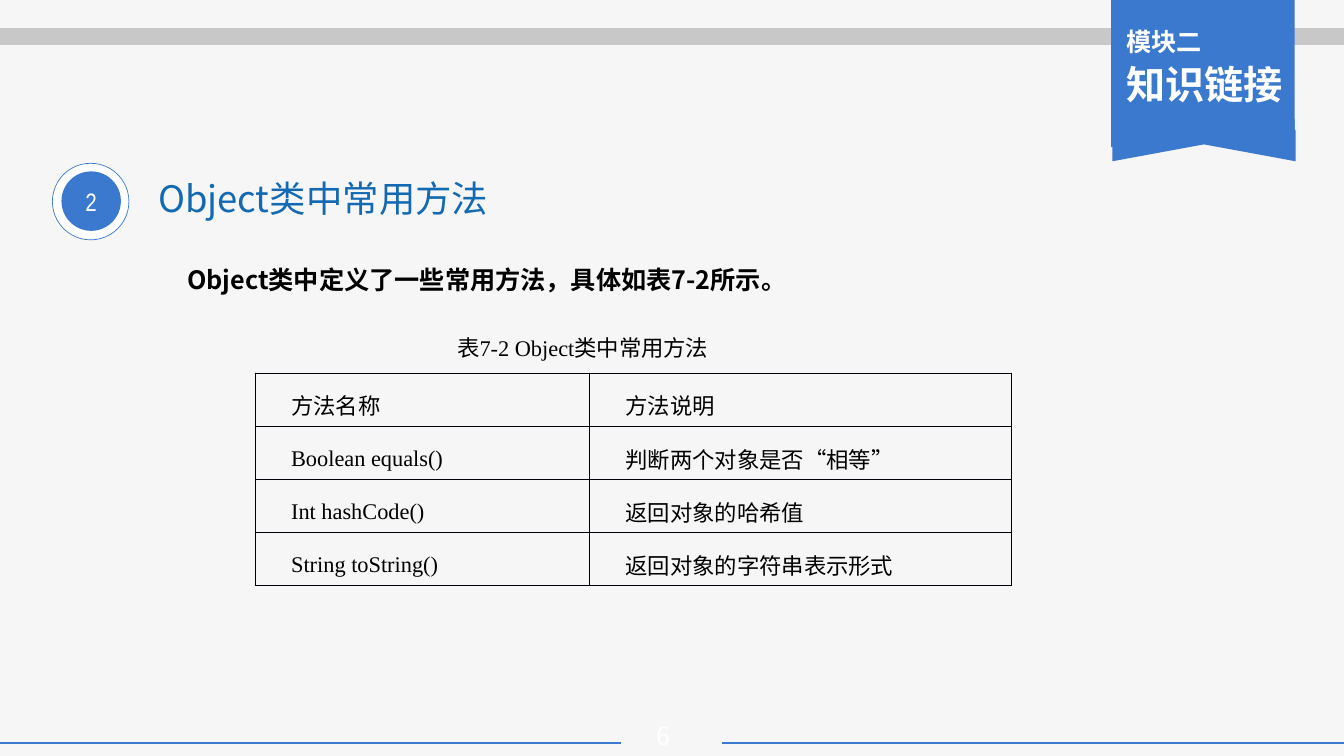
from itertools import groupby

from pptx import Presentation
from pptx import util as u
from pptx.dml.color import RGBColor
from pptx.enum import shapes, text
from pptx.oxml import parse_xml
from pptx.oxml.ns import nsdecls, qn

BLUE = RGBColor(0x3B, 0x79, 0xCE)
DEEP = RGBColor(0x13, 0x69, 0xB2)
GREY = RGBColor(0xC8, 0xC8, 0xC8)
PALE = RGBColor(0xF6, 0xF6, 0xF6)
WHITE = RGBColor(0xFF, 0xFF, 0xFF)
BLACK = RGBColor(0, 0, 0)
SANS, SERIF, THIN = "Noto Sans CJK SC", "Times New Roman", "Arial Narrow"
WIDE, HIGH = 13.34, 7.5
KIND = shapes.MSO_SHAPE
ALIGN = text.PP_ALIGN
EDGE = ('<a:{} {} w="6350"><a:solidFill><a:srgbClr val="000008"/>'
        '</a:solidFill></a:{}>')


class Page:
    def __init__(self, deck):
        self.slide = deck.slides.add_slide(deck.slide_layouts[5])
        self.items = self.slide.shapes
        back = self.slide.background.fill
        back.solid()
        back.fore_color.rgb = PALE

    def style(self, par, size, color, bold=False, font=SANS):
        for run in par.runs:
            face = run.font
            face.size, face.bold, face.name = u.Pt(size), bold, font
            face.color.rgb = color
            props = run._r.get_or_add_rPr()
            props.find(qn("a:latin")).addnext(
                parse_xml(f'<a:ea {nsdecls("a")} typeface="{SANS}"/>'))

    def indent(self, par):
        par.line_spacing = 1.5
        props = par._p.get_or_add_pPr()
        props.set("marL", "0")
        props.set("indent", str(u.Inches(0.29)))

    def mixed(self, par, words):
        """Latin letters and curly quotes in serif, Chinese in sans."""
        for latin, part in groupby(words, lambda c: c.isascii() or c in "“”"):
            run = par.add_run()
            run.text = "".join(part)
            run.font.name = SERIF if latin else SANS
            run.font.size = u.Pt(16)
            run.font.color.rgb = BLACK
            if not latin:
                run.font._element.append(
                    parse_xml(f'<a:ea {nsdecls("a")} typeface="{SANS}"/>'))
        par.alignment = ALIGN.JUSTIFY
        self.indent(par)

    def place(self, shape, box):
        shape.left, shape.top, shape.width, shape.height = map(u.Inches, box)

    def line(self, x1, x2, y, color, width):
        bar = self.items.add_connector(
            shapes.MSO_CONNECTOR.STRAIGHT, *map(u.Inches, (x1, y, x2, y)))
        bar.line.color.rgb, bar.line.width = color, u.Pt(width)
        bar._element.spPr.append(parse_xml(f'<a:effectLst {nsdecls("a")}/>'))

    def shape(self, kind, box, fill, edge=None, turn=0, adj=None):
        item = self.items.add_shape(kind, *map(u.Inches, box))
        item.shadow.inherit = False
        item.fill.solid()
        item.fill.fore_color.rgb = fill
        if edge:
            item.line.color.rgb, item.line.width = edge, u.Pt(0.5)
        else:
            item.line.fill.background()
        item.rotation = turn
        if adj is not None:
            item.adjustments[0] = adj
        return item

    def title(self, words, box):
        item = self.items.title
        self.place(item, box)
        frame = item.text_frame
        frame.text = words
        frame.auto_size = text.MSO_AUTO_SIZE.NONE
        frame.vertical_anchor = text.MSO_ANCHOR.TOP
        frame.paragraphs[0].alignment = ALIGN.LEFT
        self.style(frame.paragraphs[0], 26, DEEP)

    def text(self, words, box):
        frame = self.items.add_textbox(*map(u.Inches, box)).text_frame
        frame.word_wrap = True
        frame.text = words
        return frame.paragraphs

    def table(self, rows, cols, box):
        grid = self.items.add_table(
            len(rows), len(cols), *map(u.Inches, box)).table
        grid.first_row = grid.horz_banding = False
        for col, width in zip(grid.columns, cols):
            col.width = u.Inches(width)
        for r, row in enumerate(rows):
            for c, words in enumerate(row):
                cell = grid.cell(r, c)
                cell.margin_left = cell.margin_right = u.Inches(0.07)
                cell.margin_top = cell.margin_bottom = 0
                if r and not c:
                    cell.vertical_anchor = text.MSO_ANCHOR.MIDDLE
                cell.fill.background()
                self.mixed(cell.text_frame.paragraphs[0], words)
                props = cell._tc.get_or_add_tcPr()
                for n, tag in enumerate(("lnL", "lnR", "lnT", "lnB")):
                    props.insert(n, parse_xml(
                        EDGE.format(tag, nsdecls("a"), tag)))


def main():
    deck = Presentation()
    deck.slide_width, deck.slide_height = u.Inches(WIDE), u.Inches(HIGH)
    page = Page(deck)

    # Rules at top and bottom, with the page number
    page.line(7.17, WIDE, 7.37, BLUE, 1.77)
    page.line(0, 6.16, 7.37, BLUE, 1.77)
    page.line(0, WIDE, 0.36, GREY, 12)
    num, = page.text("6", (6.16, 7.1, 0.85, 0.4))
    num.alignment = ALIGN.CENTER
    page.style(num, 18, WHITE)

    # Ribbon
    for kind, box, adj in (
            (KIND.CHEVRON, (11.71, 0.45, 0.48, 1.82), 0.35),
            (KIND.CHEVRON, (11.66, 0.27, 0.56, 1.82), 0.5),
            (KIND.PENTAGON, (11.26, -0.23, 1.36, 1.82), 0)):
        page.shape(kind, box, BLUE, turn=270, adj=adj)
    unit, part = page.text("模块二\n知识链接", (11.08, 0.21, 1.78, 0.92))
    page.style(unit, 18, WHITE, True)
    page.style(part, 28, WHITE, True)
    unit.space_after = part.space_after = u.Pt(3)

    # Heading with its numbered badge
    page.title("Object类中常用方法", (1.47, 1.7, 3.53, 0.47))
    page.shape(KIND.OVAL, (0.52, 1.62, 0.76, 0.76), WHITE, BLUE)
    badge = page.shape(KIND.OVAL, (0.61, 1.7, 0.59, 0.59), BLUE)
    badge.text_frame.text = "2"
    badge.text_frame.vertical_anchor = text.MSO_ANCHOR.MIDDLE
    mark = badge.text_frame.paragraphs[0]
    mark.alignment = ALIGN.CENTER
    page.style(mark, 18, WHITE, font=THIN)

    # Lead sentence
    lead, = page.text("Object类中定义了一些常用方法，具体如表7-2所示。",
                      (1.47, 2.42, 10.66, 0.64))
    page.indent(lead)
    page.style(lead, 18, BLACK, True)

    # Table and caption
    note, = page.text("", (4.15, 3.13, 3.11, 0.5))
    page.mixed(note, "表7-2 Object类中常用方法")
    page.table([("方法名称", "方法说明"),
                ("Boolean equals()", "判断两个对象是否“相等”"),
                ("Int hashCode()", "返回对象的哈希值"),
                ("String toString()", "返回对象的字符串表示形式")],
               (3.32, 4.19), (2.53, 3.7, 7.51, 2.11))

    deck.save("out.pptx")


if __name__ == "__main__":
    main()
